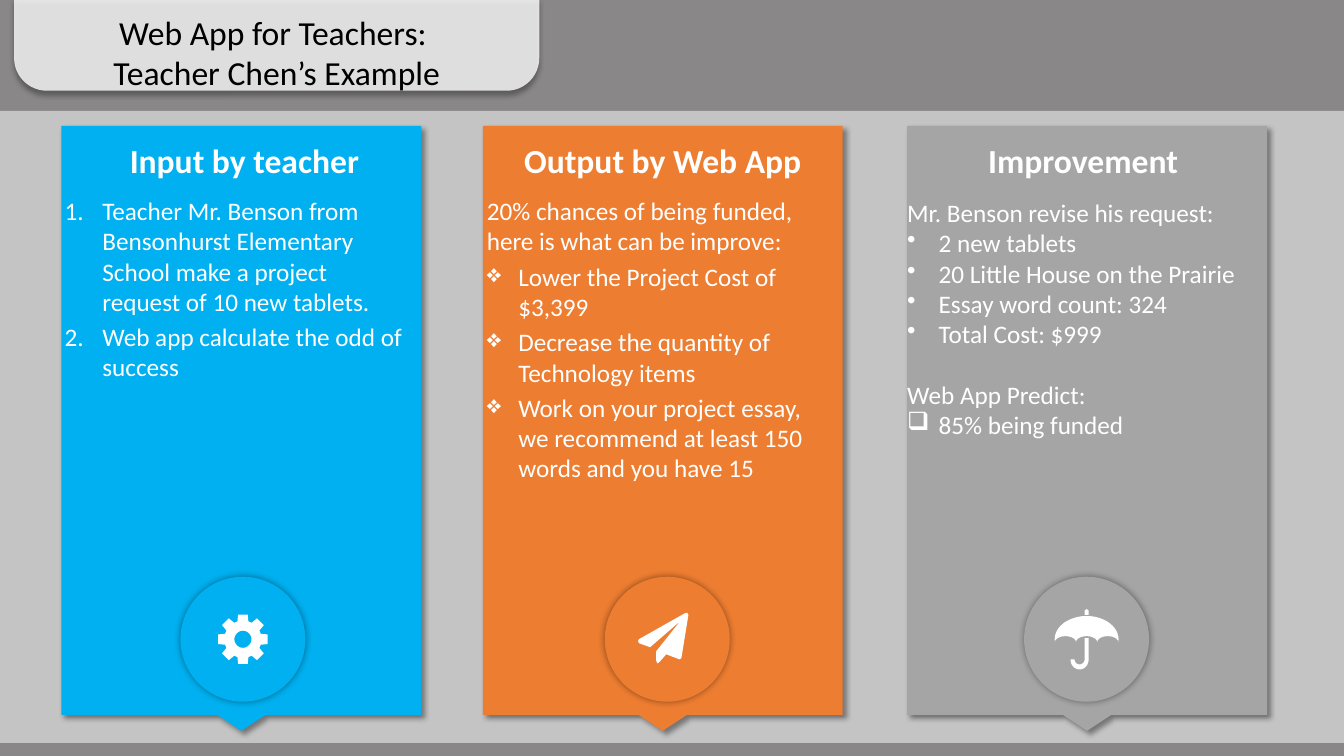
"""Build the three-card teacher web app slide on a grid of 160 columns by 90 rows."""
import math
from dataclasses import dataclass
from typing import Callable, Optional

import lxml.etree
import pptx
import pptx.dml.color
import pptx.enum.shapes
import pptx.enum.text
import pptx.oxml.ns
import pptx.util

COLUMNS, ROWS = 160, 90
CELL = pptx.util.Inches(1) // 12
FONT = "Calibri"
COLOURS = {
    "backdrop": "3B3838", "panel": "D9D9D9", "white": "FFFFFF", "black": "000000",
    "blue": "00B0F0", "orange": "ED7D31", "grey": "A5A5A5",
}
CARD_TOP, CARD_WIDTH, CARD_HEIGHT = 15, 42.84, 72
DISC_SIZE, DISC_MIDDLE = 14.88, 76.1
Shape = pptx.enum.shapes.MSO_SHAPE
Align = pptx.enum.text.PP_ALIGN
Anchor = pptx.enum.text.MSO_ANCHOR
Point = tuple[float, float]
Outline = list[Point]


@dataclass
class Box:
    left: float
    top: float
    width: float
    height: float

    def lengths(self) -> list[int]:
        return [round(n * CELL) for n in (self.left, self.top, self.width, self.height)]


@dataclass
class Line:
    text: str
    bullet: str = ""
    indent: float = 0
    before: float = 0


@dataclass
class Card:
    left: float
    colour: str
    heading: str
    heading_left: float
    body: Box
    lines: list[Line]
    disc_centre: float
    icon: Callable[[], list[Outline]]


def arc(x: float, y: float, across: float, down: float, start: float, stop: float) -> Outline:
    angles = [math.radians(start + (stop - start) * step / 24) for step in range(25)]
    return [(x + across * math.cos(angle), y + down * math.sin(angle)) for angle in angles]


def gear() -> list[Outline]:
    tooth = [(2.22, -17), (3, -11), (3, 11), (2.22, 17)]
    rim = [(radius * math.cos(math.radians(turn + shift)),
            radius * math.sin(math.radians(turn + shift)))
           for turn in range(0, 360, 45) for radius, shift in tooth]
    return [rim, arc(0, 0, 1.02, 1.02, 360, 0)]


def plane() -> list[Outline]:
    return [[(2.52, -2.88), (1.68, 2.28), (1.44, 2.4), (-0.12, 1.8), (-0.96, 2.76),
             (-1.2, 2.88), (-1.32, 2.52), (-1.32, 1.44), (1.56, -2.16), (-2.04, 0.96),
             (-3.36, 0.48), (-3.48, 0.24), (-3.36, 0), (2.16, -3.12), (2.4, -3.12)]]


def umbrella() -> list[Outline]:
    canopy = arc(0, 0, 3.8, 2.76, 180, 360)
    for centre in (2.52, 0, -2.52):
        canopy += arc(centre, 0.36, 1.26, 0.72, 360, 180)
    handle = [(-0.24, -0.12), (0.24, -0.12)]
    handle += arc(-0.84, 2.4, 1.08, 1.2, 0, 180) + arc(-0.84, 2.4, 0.6, 0.6, 180, 0)
    tip = [(-0.24, -2.88), (-0.24, -3.4), (0, -3.6), (0.24, -3.4), (0.24, -2.88)]
    return [canopy, handle, tip]


def child(parent, tag: str, **attributes: str):
    return lxml.etree.SubElement(parent, pptx.oxml.ns.qn(tag), attributes)


def paint(shape, colour: str, opacity: int = 100,
          shadow: Optional[tuple[float, float, int]] = None) -> None:
    shape.fill.solid()
    shape.fill.fore_color.rgb = pptx.dml.color.RGBColor.from_string(COLOURS[colour])
    shape.line.fill.background()
    shape.shadow.inherit = False
    properties = shape.element.spPr
    if opacity < 100:
        value = properties.find(".//" + pptx.oxml.ns.qn("a:srgbClr"))
        child(value, "a:alpha", val=str(opacity * 1000))
    if shadow:
        blur, distance, angle = shadow
        effects = properties.find(pptx.oxml.ns.qn("a:effectLst"))
        outer = child(effects, "a:outerShdw", blurRad=str(pptx.util.Pt(blur)),
                      dist=str(pptx.util.Pt(distance)), dir=str(angle * 60000),
                      algn="ctr", rotWithShape="0")
        child(child(outer, "a:srgbClr", val=COLOURS["black"]), "a:alpha", val="40000")


def add_preset(page, kind, box: Box, colour: str, adjustments: tuple = (), **look):
    shape = page.shapes.add_shape(kind, *box.lengths())
    for index, value in enumerate(adjustments):
        shape.adjustments[index] = value
    paint(shape, colour, **look)


def add_icon(page, outlines: list[Outline], x: float, y: float) -> None:
    placed = [[((x + across) * 100, (y + down) * 100) for across, down in outline]
              for outline in outlines]
    builder = page.shapes.build_freeform(*placed[0][0], scale=CELL / 100)
    for index, outline in enumerate(placed):
        if index:
            builder.move_to(*outline[0])
        builder.add_line_segments(outline[1:], close=True)
    paint(builder.convert_to_shape(), "white")


def add_text(page, box: Box, lines: list[Line], *, size: float = 18, colour: str = "white",
             bold: bool = False, align=Align.LEFT, anchor=Anchor.TOP,
             insets: tuple = (0, 0, 0, 0)) -> None:
    frame = page.shapes.add_textbox(*box.lengths()).text_frame
    frame.word_wrap = True
    frame.auto_size = pptx.enum.text.MSO_AUTO_SIZE.SHAPE_TO_FIT_TEXT
    frame.vertical_anchor = anchor
    (frame.margin_left, frame.margin_top, frame.margin_right,
     frame.margin_bottom) = [round(inset * CELL) for inset in insets]
    for index, line in enumerate(lines):
        para = frame.add_paragraph() if index else frame.paragraphs[0]
        if line.bullet:
            properties = para._p.get_or_add_pPr()
            indent = round(line.indent * CELL)
            properties.set("marL", str(indent))
            properties.set("indent", str(-indent))
            if line.bullet == "1.":
                child(properties, "a:buAutoNum", type="arabicPeriod")
            else:
                child(properties, "a:buChar", char=line.bullet)
        para.alignment = align
        if index:
            para.space_before = pptx.util.Pt(line.before)
        span = para.add_run()
        span.text = line.text
        span.font.name, span.font.size, span.font.bold = FONT, pptx.util.Pt(size), bold
        span.font.color.rgb = pptx.dml.color.RGBColor.from_string(COLOURS[colour])


def add_card(page, card: Card) -> None:
    add_preset(page, Shape.DOWN_ARROW_CALLOUT,
               Box(card.left, CARD_TOP, CARD_WIDTH, CARD_HEIGHT), card.colour,
               (0.25, 0.067, 0.044, 0.975), shadow=(4, 3, 45))
    add_preset(page, Shape.OVAL,
               Box(card.disc_centre - DISC_SIZE / 2, DISC_MIDDLE - DISC_SIZE / 2,
                   DISC_SIZE, DISC_SIZE), card.colour, shadow=(5, 0, 0))
    add_icon(page, card.icon(), card.disc_centre, DISC_MIDDLE)
    add_text(page, Box(card.heading_left, 16.68, CARD_WIDTH, 4.8), [Line(card.heading)],
             size=24, bold=True, align=Align.CENTER, anchor=Anchor.MIDDLE)
    add_text(page, card.body, card.lines, insets=(0, 0, 1.2, 0.6))


CARDS = [
    Card(7.32, "blue", "Input by teacher", 7.68, Box(7.68, 23.28, 42.24, 23.16), [
        Line("Teacher Mr. Benson from Bensonhurst Elementary School make a project "
             "request of 10 new tablets.", "1.", 4.5),
        Line("Web app calculate the odd of success", "1.", 4.5, 3.6),
    ], 28.92, gear),
    Card(57.48, "orange", "Output by Web App", 57.48, Box(57.96, 23.28, 42.84, 35.52), [
        Line("20% chances of being funded, here is what can be improve:"),
        Line("Lower the Project Cost of $3,399", "❖", 3.75, 3.6),
        Line("Decrease the quantity of Technology items", "❖", 3.75, 3.6),
        Line("Work on your project essay, we recommend at least 150 words and you have 15",
             "❖", 3.75, 3.6),
    ], 79.44, plane),
    Card(108, "grey", "Improvement", 107.52, Box(108, 23.52, 42.84, 29.64), [
        Line("Mr. Benson revise his request:"),
        *[Line(text, "•", 3.75) for text in (
            "2 new tablets", "20 Little House on the Prairie",
            "Essay word count: 324", "Total Cost: $999")],
        Line("Web App Predict:", before=22),
        Line("85% being funded", "❑", 3.75),
    ], 129.36, umbrella),
]


def main() -> None:
    deck = pptx.Presentation()
    deck.slide_width, deck.slide_height = COLUMNS * CELL, ROWS * CELL
    page = deck.slides.add_slide(deck.slide_layouts[6])
    add_preset(page, Shape.RECTANGLE, Box(0, 0, COLUMNS, ROWS), "backdrop", opacity=60)
    add_preset(page, Shape.RECTANGLE, Box(0, 13.2, COLUMNS, 75.24), "panel", opacity=75)
    for card in CARDS:
        add_card(page, card)
    add_preset(page, Shape.ROUND_2_SAME_RECTANGLE, Box(1.68, -0.24, 62.52, 11.04), "white",
               (0, 0.352), opacity=80, shadow=(4, 3, 90))
    add_text(page, Box(1.68, 0.84, 62.52, 10.92),
             [Line("Web App for Teachers: "), Line("Teacher Chen’s Example")],
             size=24, colour="black", align=Align.CENTER, insets=(1.2, 0.6, 1.2, 0.6))
    deck.save("out.pptx")


if __name__ == "__main__":
    main()
